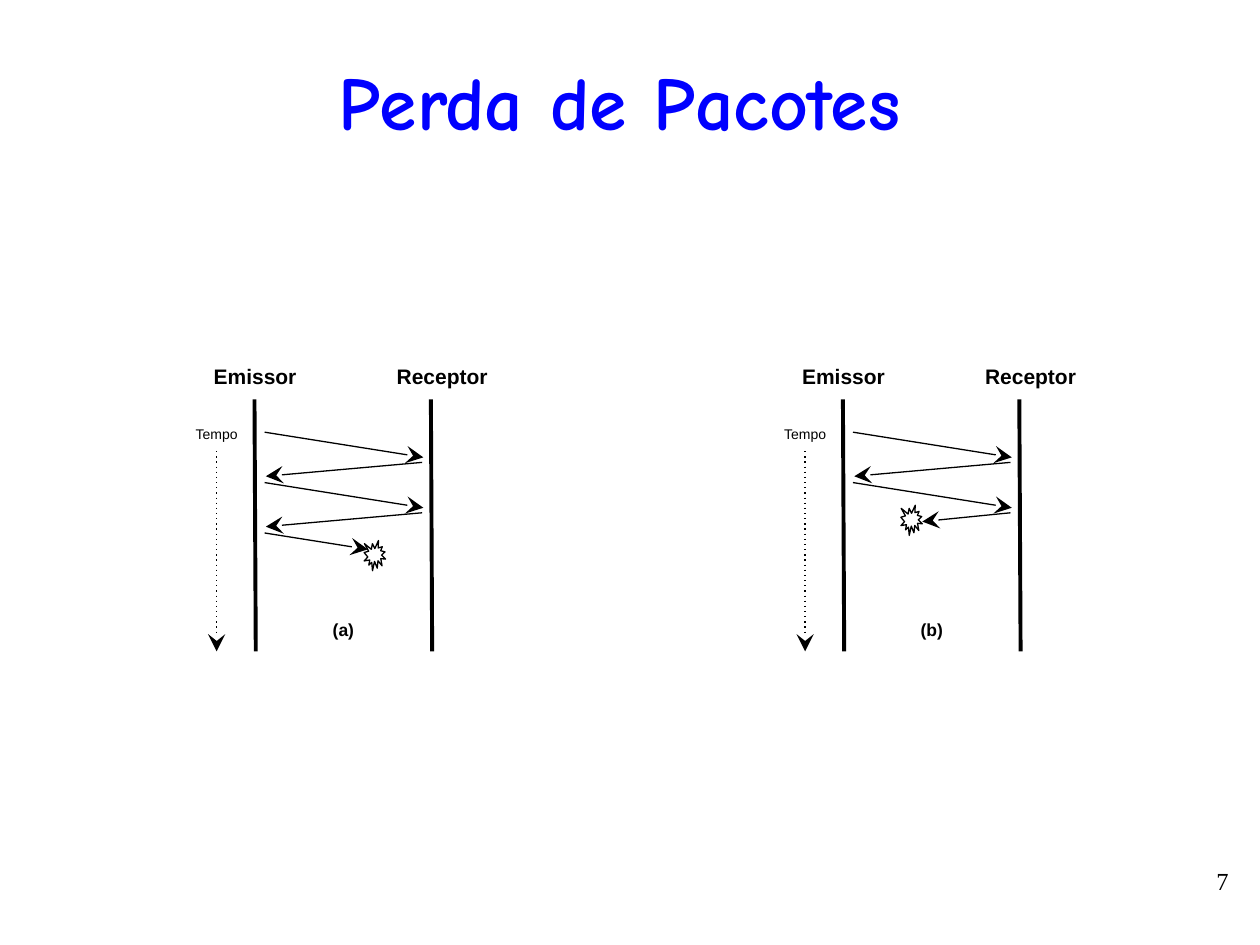
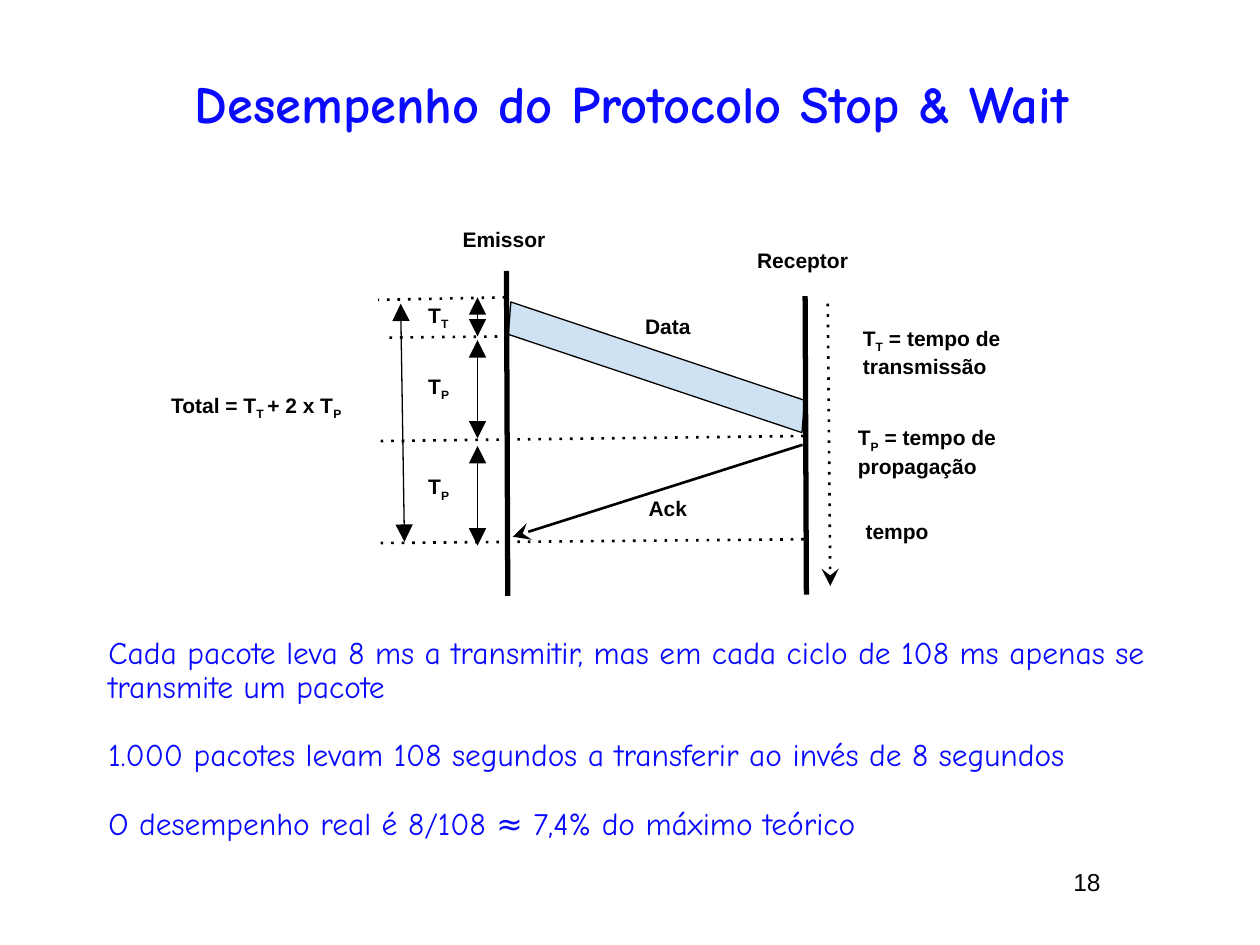
from lxml import etree
from pptx import Presentation
from pptx.dml.color import RGBColor
from pptx.enum.shapes import MSO_CONNECTOR, MSO_SHAPE
from pptx.enum.text import MSO_ANCHOR, MSO_AUTO_SIZE, PP_ALIGN
from pptx.oxml.ns import qn
from pptx.util import Pt

STRAIGHT = MSO_CONNECTOR.STRAIGHT
SEAL, PARALLELOGRAM = MSO_SHAPE.EXPLOSION1, MSO_SHAPE.PARALLELOGRAM
LEFT, CENTER, RIGHT = PP_ALIGN.LEFT, PP_ALIGN.CENTER, PP_ALIGN.RIGHT
TOP, MIDDLE = MSO_ANCHOR.TOP, MSO_ANCHOR.MIDDLE

# Shared look
EMU_PER_PX = 9144  # 100 px to the inch
BLACK, WHITE, PALE_BLUE = "000000", "FFFFFF", "CFE2F3"
TITLE_BLUE, TEXT_BLUE = "0000FF", "0A0AFE"
HEADING_FONT, LABEL_FONT, NUMBER_FONT = "Comic Neue", "Arial", "Times New Roman"
TITLE_ONLY, TITLE_AND_BODY = 5, 1
THIN, MEDIUM = 0.75, 1.5


def px(length):
    return round(length * EMU_PER_PX)


def color(value):
    return RGBColor.from_string(value)


def place(shape, left, top, width, height):
    shape.left, shape.top = px(left), px(top)
    shape.width, shape.height = px(width), px(height)


def set_font(paragraph, name, size, tint=BLACK, bold=False):
    font = paragraph.font
    font.name, font.size, font.bold = name, Pt(size), bold
    font.color.rgb = color(tint)


# Titles, body text and page numbers
def add_title(slide, text, left, top, size, tint):
    title = slide.shapes.title
    place(title, left, top, 917, 75)
    title.text_frame.text = text
    title.text_frame.vertical_anchor = MIDDLE
    title.text_frame.auto_size = MSO_AUTO_SIZE.NONE
    paragraph = title.text_frame.paragraphs[0]
    paragraph.alignment = CENTER
    set_font(paragraph, HEADING_FONT, size, tint, bold=True)


def fill_body(slide, statements):
    body = slide.placeholders[1]
    place(body, 76, 501, 891, 215)
    frame = body.text_frame
    frame.auto_size = MSO_AUTO_SIZE.NONE
    frame.text = "\n".join(statements)
    for index, paragraph in enumerate(frame.paragraphs):
        paragraph.line_spacing = 0.9
        paragraph.space_before = Pt(19.5 if index else 0)
        set_font(paragraph, HEADING_FONT, 18, TEXT_BLUE)
        properties = paragraph._p.get_or_add_pPr()
        properties.set("marL", "0")
        properties.set("indent", "0")
        bullet = etree.Element(qn("a:buNone"))
        properties.find(qn("a:defRPr")).addprevious(bullet)


def add_text(slide, lines, box, size=12, font=LABEL_FONT, bold=True,
             align=CENTER, anchor=MIDDLE, inset=10):
    """Each line is a list of pieces; every second piece is a subscript."""
    text_box = slide.shapes.add_textbox(*map(px, box))
    frame = text_box.text_frame
    frame.word_wrap = True
    frame.vertical_anchor = anchor
    frame.margin_top = frame.margin_bottom = px(inset)
    frame.margin_left = frame.margin_right = px(10)
    for index, pieces in enumerate(lines):
        paragraph = frame.add_paragraph() if index else frame.paragraphs[0]
        paragraph.alignment = align
        set_font(paragraph, font, size, bold=bold)
        for position, piece in enumerate(pieces):
            run = paragraph.add_run()
            run.text = piece
            if position % 2:
                run._r.get_or_add_rPr().set("baseline", "-25000")


def add_label(slide, text, box, size=12, bold=True):
    add_text(slide, [[text]], box, size, bold=bold)


def add_page_number(slide, number, box, font, align):
    add_text(slide, [[number]], box, 14, font, False, align, TOP, 5)


# Lines and shapes
def add_line(slide, start, end, width=THIN, dotted=False, head=None, tail=None):
    line = slide.shapes.add_connector(STRAIGHT, *map(px, (*start, *end)))
    line.line.color.rgb = color(BLACK)
    line.line.width = Pt(width)
    outline = line.line._get_or_add_ln()
    if dotted:
        etree.SubElement(outline, qn("a:prstDash"), val="dot")
    for tag, kind in (("a:headEnd", head), ("a:tailEnd", tail)):
        if kind:
            etree.SubElement(outline, qn(tag), type=kind, w="lg", len="lg")
    etree.SubElement(line._element.spPr, qn("a:effectLst"))


def add_arrow(slide, start, end, width=THIN, dotted=False):
    add_line(slide, start, end, width, dotted, tail="stealth")


def add_span(slide, start, end):
    add_line(slide, start, end, head="triangle", tail="triangle")


def add_outlined_shape(slide, kind, box, fill):
    shape = slide.shapes.add_shape(kind, *map(px, box))
    shape.shadow.inherit = False
    shape.fill.solid()
    shape.fill.fore_color.rgb = color(fill)
    shape.line.color.rgb = color(BLACK)
    shape.line.width = Pt(THIN)
    return shape


# Packet loss: one sender/receiver exchange
def add_exchange(slide, left, caption, delivered, lost_end, seal_corner):
    def at(x, y):
        return left + x, y

    for x in (62, 202):
        add_line(slide, at(x, 317), at(x + 1, 517), 2.25)
    add_arrow(slide, at(32, 358), at(32, 517), dotted=True)
    add_label(slide, "Emissor", (*at(18, 281), 89, 35))
    add_label(slide, "Receptor", (*at(158, 281), 106, 35))
    add_label(slide, "Tempo", (*at(0, 327), 64, 35), 8, bold=False)

    # Messages alternate in direction; the last one is lost
    for message in range(delivered + 1):
        drop = 40 * (message // 2)
        if message % 2 == 0:
            start, end = at(70, 343 + drop), at(196, 363 + drop)
        else:
            start, end = at(195, 367 + drop), at(71, 378 + drop)
        if message == delivered:
            end = at(*lost_end)
        add_arrow(slide, start, end)
    add_outlined_shape(slide, SEAL, (*at(*seal_corner), 17, 24), WHITE)
    add_label(slide, caption, (*at(110, 482), 45, 35), 10)


def build_packet_loss(presentation):
    slide = presentation.slides.add_slide(presentation.slide_layouts[TITLE_ONLY])
    add_title(slide, "Perda de Pacotes", 33, 42, 43.2, TITLE_BLUE)
    add_page_number(slide, "7", (752, 682, 233, 52), NUMBER_FONT, RIGHT)
    add_exchange(slide, 140, "(a)", 4, (152, 436), (149, 429))
    add_exchange(slide, 607, "(b)", 3, (125, 414), (108, 401))


# Stop & Wait: timing diagram and its conclusions
def build_performance(presentation):
    slide = presentation.slides.add_slide(presentation.slide_layouts[TITLE_AND_BODY])
    add_title(slide, "Desempenho do Protocolo Stop & Wait", 43, 44, 30, TEXT_BLUE)
    add_page_number(slide, "18", (842, 683, 100, 42), LABEL_FONT, LEFT)

    # Level marks, data band and time axes
    for start, end in (((401, 236), (300, 238)), ((403, 267), (303, 268)),
                       ((638, 346), (301, 350)), ((638, 428), (301, 431))):
        add_line(slide, start, end, MEDIUM, dotted=True)
    band = add_outlined_shape(slide, PARALLELOGRAM, (395, 279, 252, 25), PALE_BLUE)
    band.adjustments[0] = 0.25
    band.rotation = 18.5
    band._element.spPr.get_or_add_xfrm().set("flipH", "1")
    add_line(slide, (402, 215), (403, 473), 3)
    add_line(slide, (639, 235), (640, 472), 3)
    add_arrow(slide, (657, 241), (659, 465), MEDIUM, dotted=True)
    add_arrow(slide, (637, 353), (407, 426), MEDIUM)

    # Time spans and their symbols
    for top, bottom, symbol, symbol_top in ((236, 267, "T", 232),
                                            (270, 348, "P", 288),
                                            (354, 433, "P", 368)):
        add_span(slide, (379, top), (379, bottom))
        add_text(slide, [["T", symbol]], (330, symbol_top, 49, 39), align=LEFT)
    add_span(slide, (318, 241), (321, 430))
    add_text(slide, [["Total = T", "T ", "+ 2 x T", "P"]],
             (126, 288, 204, 69), align=LEFT)

    # Names and legend
    for text, left, top in (("Emissor", 351, 170), ("Receptor", 588, 187),
                            ("Data", 481, 239), ("Ack", 481, 384),
                            ("tempo", 663, 402)):
        add_label(slide, text, (left, top, 98, 39))
    for symbol, meaning, left, top in (("T", "transmissão", 675, 254),
                                       ("P", "propagação", 671, 333)):
        add_text(slide, [["T", symbol, " = tempo de"], [meaning]],
                 (left, top, 151, 51), align=LEFT)

    fill_body(slide, [
        "Cada pacote leva 8 ms a transmitir, mas em cada ciclo de 108 ms "
        "apenas se transmite um pacote",
        "1.000 pacotes levam 108 segundos a transferir ao invés de 8 segundos",
        "O desempenho real é 8/108 ≈ 7,4% do máximo teórico",
    ])


def main():
    presentation = Presentation()
    presentation.slide_width, presentation.slide_height = px(1000), px(750)
    build_packet_loss(presentation)
    build_performance(presentation)
    presentation.save("out.pptx")


if __name__ == "__main__":
    main()
